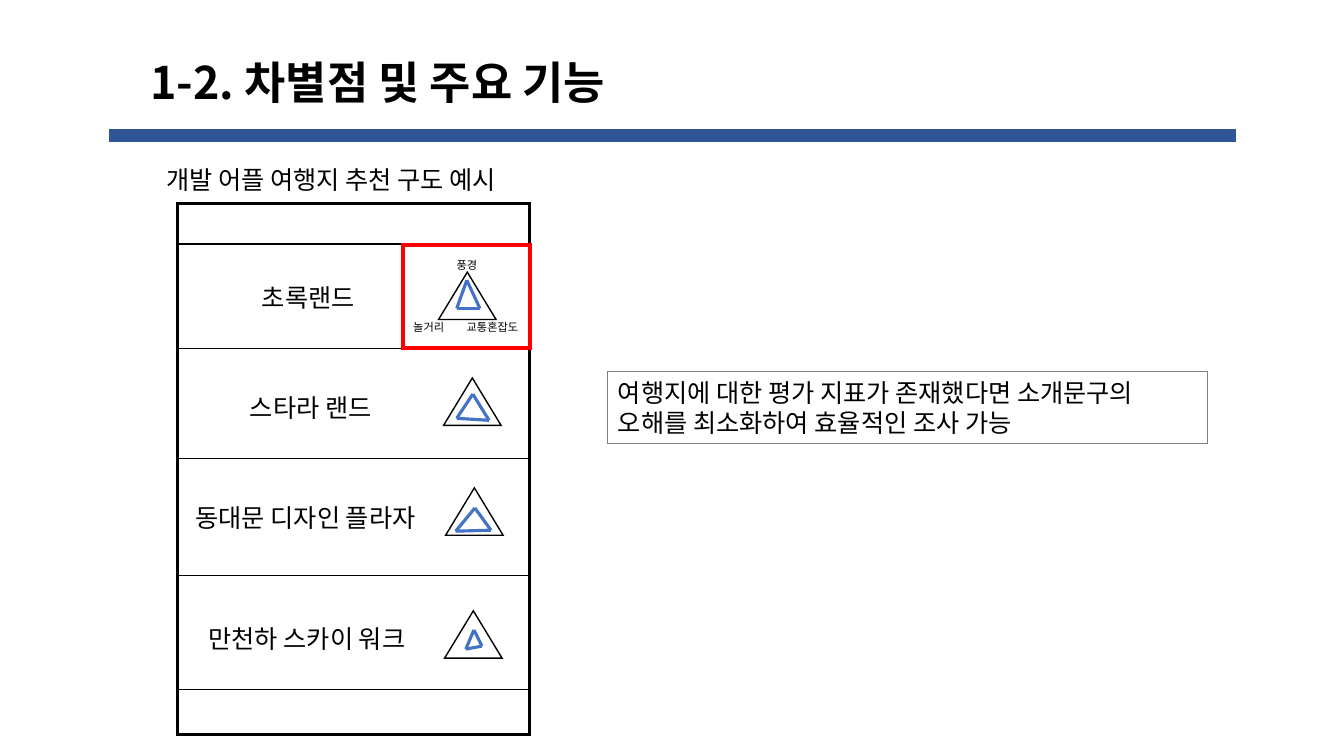
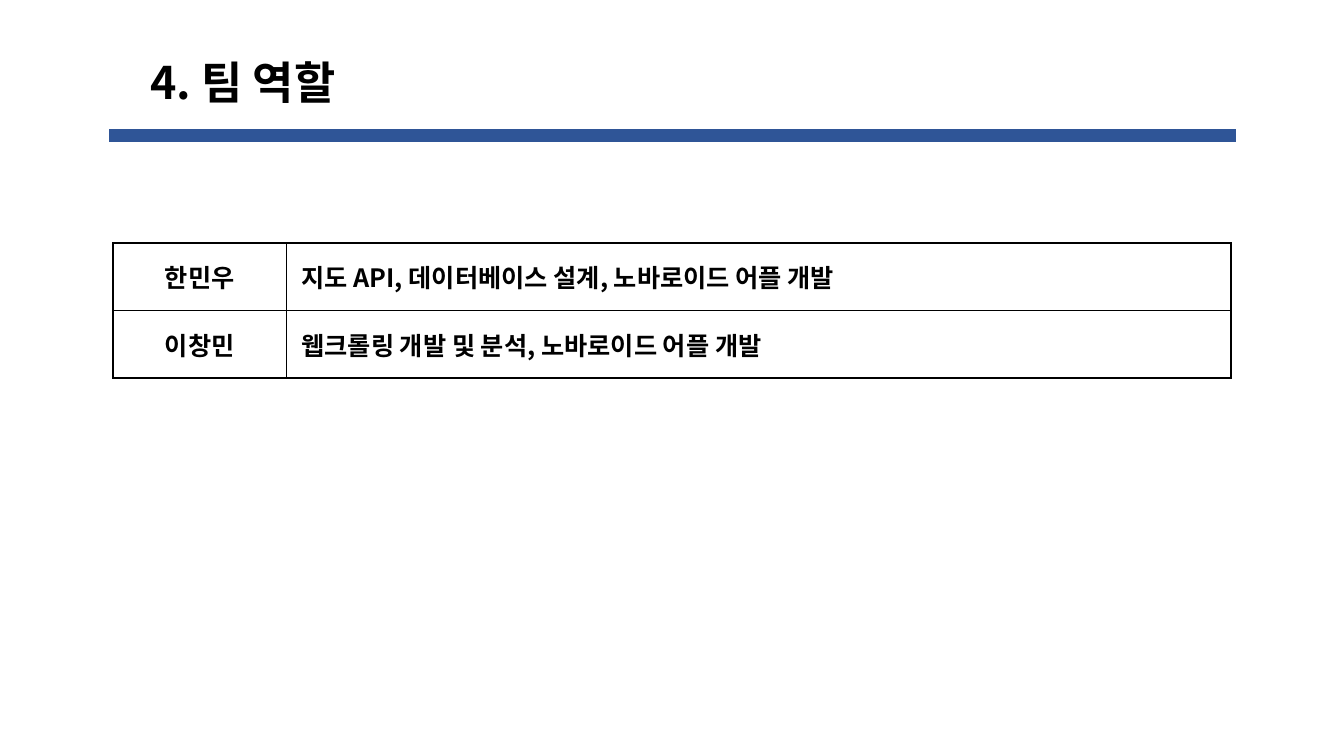
from lxml import etree
from pptx import Presentation
from pptx.dml.color import RGBColor
from pptx.enum.shapes import MSO_CONNECTOR, MSO_SHAPE
from pptx.enum.text import MSO_ANCHOR, MSO_AUTO_SIZE, PP_ALIGN
from pptx.oxml.ns import qn
from pptx.util import Inches, Pt

RECTANGLE, TRIANGLE = MSO_SHAPE.RECTANGLE, MSO_SHAPE.ISOSCELES_TRIANGLE
STRAIGHT = MSO_CONNECTOR.STRAIGHT
MIDDLE, NO_FIT = MSO_ANCHOR.MIDDLE, MSO_AUTO_SIZE.NONE
LEFT, CENTER = PP_ALIGN.LEFT, PP_ALIGN.CENTER

BLACK = RGBColor(0x00, 0x00, 0x00)
NAVY = RGBColor(0x2F, 0x55, 0x97)
BLUE = RGBColor(0x44, 0x72, 0xC4)
RED = RGBColor(0xFF, 0x00, 0x00)
GRAY = RGBColor(0x80, 0x80, 0x80)
FONT = "Noto Sans CJK KR"

FRAME_LEFT, FRAME_TOP, FRAME_WIDTH, FRAME_HEIGHT = 1.76, 2.02, 3.49, 5.27
FIRST_ROW_TOP = 2.42
MARK_WIDTH, MARK_HEIGHT = 0.57, 0.47


def add_box(shapes, kind, place, color, weight):
    """Add an unfilled outline with sharp corners; place is in inches."""
    box = shapes.add_shape(kind, *map(Inches, place))
    box.shadow.inherit = False
    box.fill.background()
    box.line.color.rgb = color
    box.line.width = Pt(weight)
    outline = box.element.spPr.find(qn("a:ln"))
    etree.SubElement(outline, qn("a:miter"), lim="800000")
    return box


def write(frame, lines, size, bold=False, align=LEFT):
    """Fill a text frame with one paragraph a line, in the deck's font."""
    frame.word_wrap = False
    frame.vertical_anchor = MIDDLE
    for number, line in enumerate(lines):
        para = frame.add_paragraph() if number else frame.paragraphs[0]
        para.alignment = align
        span = para.add_run()
        span.text = line
        formats = {"size": Pt(size), "bold": bold, "name": FONT}
        for name, value in formats.items():
            setattr(span.font, name, value)
        span.font.color.rgb = BLACK
        latin = span.font._element.find(qn("a:latin"))
        latin.addnext(etree.Element(qn("a:ea"), typeface=FONT))


deck = Presentation()
deck.slide_width, deck.slide_height = Inches(13.33), Inches(7.5)
title_only = deck.slide_layouts[5]

# Titles
pages = []
for heading, width in (("1-2. 차별점 및 주요 기능", 5.25), ("4. 팀 역할", 2.24)):
    page = deck.slides.add_slide(title_only)
    title = page.shapes.title
    place = {"left": 1.39, "top": 0.49, "width": width, "height": 0.64}
    for name, value in place.items():
        setattr(title, name, Inches(value))
    write(title.text_frame, [heading], 32, bold=True)
    title.text_frame.auto_size = NO_FIT
    pages.append(page)
feature_page, team_page = pages

# Band under the title, held by the layout
band = add_box(feature_page.shapes, RECTANGLE, (1.12, 1.32, 11.1, 0.05), NAVY, 6)
band.fill.solid()
band.fill.fore_color.rgb = NAVY
title_only.shapes.element.append(band.element)

# Phone frame: name, row height, label place, mark corner, rating points in mark
destinations = [
    ("초록랜드", 1.04, (2.5, 2.77, 1.16), (4.35, 2.7),
     [(0.28, 0.08), (0.18, 0.36), (0.41, 0.36)]),
    ("스타라 랜드", 1.09, (2.38, 3.86, 1.49), (4.4, 3.75),
     [(0.29, 0.16), (0.13, 0.4), (0.45, 0.42)]),
    ("동대문 디자인 플라자", 1.16, (1.84, 4.95, 2.54), (4.42, 4.84),
     [(0.29, 0.2), (0.1, 0.43), (0.45, 0.42)]),
    ("만천하 스카이 워크", 1.13, (1.97, 6.15, 2.3), (4.41, 6.06),
     [(0.29, 0.19), (0.21, 0.38), (0.37, 0.35)]),
]
shapes = feature_page.shapes
add_box(shapes, RECTANGLE, (FRAME_LEFT, FRAME_TOP, FRAME_WIDTH, FRAME_HEIGHT),
        BLACK, 2.25)
labels = [
    ("개발 어플 여행지 추천 구도 예시", 18, (1.55, 1.58, 3.93, 0.4)),
    ("풍경", 8, (4.43, 2.52, 0.41, 0.21)),
    ("놀거리", 8, (4, 3.14, 0.52, 0.21)),
    ("교통혼잡도", 8, (4.53, 3.14, 0.73, 0.21)),
]
row_top = FIRST_ROW_TOP
for name, height, label_place, (mark_left, mark_top), points in destinations:
    add_box(shapes, RECTANGLE, (FRAME_LEFT, row_top, FRAME_WIDTH, height), BLACK, 1)
    row_top += height
    labels.append((name, 18, (*label_place, 0.36)))
    mark = shapes.add_group_shape().shapes
    add_box(mark, TRIANGLE, (mark_left, mark_top, MARK_WIDTH, MARK_HEIGHT), BLACK, 1)
    corners = [(Inches(mark_left + x), Inches(mark_top + y)) for x, y in points]
    for start, end in zip(corners, corners[1:] + corners[:1]):
        side = mark.add_connector(STRAIGHT, *start, *end)
        side.line.color.rgb = BLUE
        side.line.width = Pt(2.25)
        etree.SubElement(side.element.spPr, qn("a:effectLst"))

for text, size, place in labels:
    label = shapes.add_textbox(*map(Inches, place))
    write(label.text_frame, [text], size)

add_box(shapes, RECTANGLE, (4, 2.43, 1.26, 1.02), RED, 3)

note = add_box(shapes, RECTANGLE, (6.03, 3.69, 5.95, 0.71), GRAY, 0.75)
write(note.text_frame, ["여행지에 대한 평가 지표가 존재했다면 소개문구의",
                        "오해를 최소화하여 효율적인 조사 가능"], 18)
for para in note.text_frame.paragraphs:
    para.line_spacing = Pt(21.5)

# Team table
roles = [
    ("한민우", "지도 API, 데이터베이스 설계, 노바로이드 어플 개발"),
    ("이창민", "웹크롤링 개발 및 분석, 노바로이드 어플 개발"),
]
table = team_page.shapes.add_table(
    len(roles), 2, *map(Inches, (1.12, 2.41, 11.09, 1.34))).table
table.first_row = table.horz_banding = False
for column, width in zip(table.columns, (1.72, 9.37)):
    column.width = Inches(width)
for row, texts in enumerate(roles):
    for column, (text, align) in enumerate(zip(texts, (CENTER, LEFT))):
        cell = table.cell(row, column)
        write(cell.text_frame, [text], 18, bold=True, align=align)
        cell.text_frame.word_wrap = True
        cell.vertical_anchor = MIDDLE
        cell.margin_left = Inches(0.15 if align == LEFT else 0.1)
        cell.fill.background()
        properties = cell._tc.get_or_add_tcPr()
        for position, edge in enumerate(("a:lnL", "a:lnR", "a:lnT", "a:lnB")):
            border = etree.Element(qn(edge), w=str(Pt(1)))
            fill = etree.SubElement(border, qn("a:solidFill"))
            etree.SubElement(fill, qn("a:srgbClr"), val=str(BLACK))
            properties.insert(position, border)

deck.save("out.pptx")
